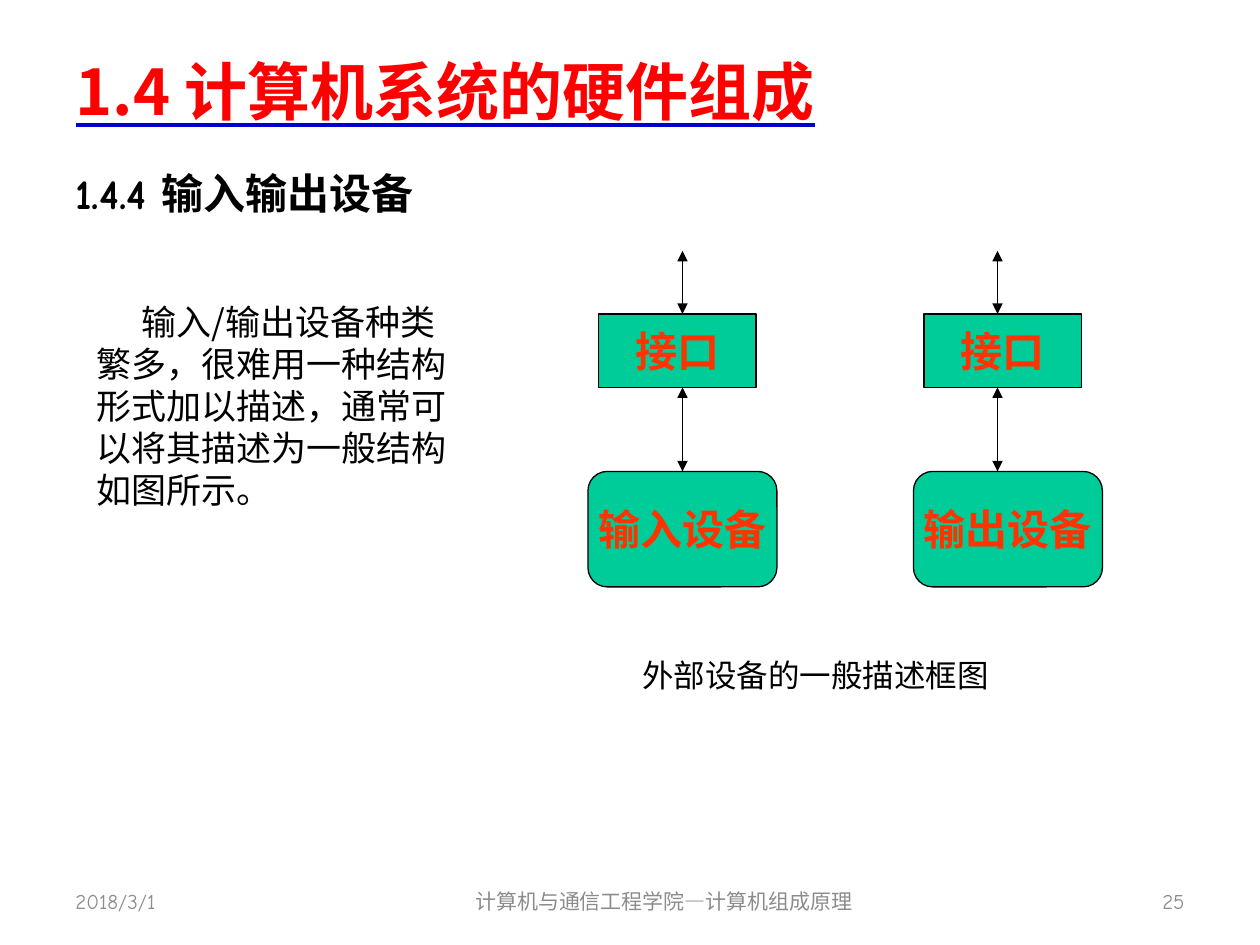
from lxml.etree import SubElement
from pptx import Presentation
from pptx.dml.color import RGBColor
from pptx.enum.shapes import MSO_CONNECTOR, MSO_SHAPE
from pptx.enum.text import MSO_ANCHOR, PP_ALIGN
from pptx.oxml import parse_xml
from pptx.oxml.ns import nsdecls, qn
from pptx.util import Inches, Pt

RED = RGBColor(0xFF, 0x00, 0x00)
ORANGE = RGBColor(0xFF, 0x33, 0x00)
GREEN = RGBColor(0x00, 0xCC, 0x99)
BLACK = RGBColor(0x00, 0x00, 0x00)
GRAY = RGBColor(0x8C, 0x8C, 0x8C)
SANS = "Noto Sans CJK SC"
COMIC = "Comic Neue"

deck = Presentation()
deck.slide_width, deck.slide_height = Inches(10), Inches(7.5)
slide = deck.slides.add_slide(deck.slide_layouts[5])
shapes = slide.shapes
col = deck.slide_width / 120
row = deck.slide_height / 90


def place(x, y, wide, high):
    return [round(n) for n in (x * col, y * row, wide * col, high * row)]


def write(shape, text, size, face, color, bold=False, align=PP_ALIGN.LEFT,
          anchor=MSO_ANCHOR.MIDDLE, wrap=True):
    frame = shape.text_frame
    frame.text = text
    frame.word_wrap = wrap
    frame.vertical_anchor = anchor
    para = frame.paragraphs[0]
    para.alignment = align
    font = para.runs[0].font
    font.size, font.name, font.bold = Pt(size), face, bold
    font.color.rgb = color
    SubElement(font._element, qn("a:ea"), typeface=SANS)
    return para


# Title with a blue underline
title = shapes.title
title.left, title.top, title.width, title.height = place(6, 3.5, 108, 10.2)
para = write(title, "1.4 计算机系统的硬件组成", 36, SANS, RED, bold=True)
font = para.runs[0].font
font.underline = True
font._element.find(qn("a:latin")).addprevious(parse_xml(
    f'<a:uFill {nsdecls("a")}><a:solidFill><a:srgbClr val="0000CC"/>'
    '</a:solidFill></a:uFill>'))

# Heading, paragraph and caption
head = shapes.add_textbox(*place(6, 14.8, 108, 67))
para = write(head, "1.4.4 输入输出设备", 24, COMIC, BLACK, bold=True,
             anchor=MSO_ANCHOR.TOP)
para.line_spacing = Pt(32)

body = shapes.add_textbox(*place(8, 28, 36, 21.4))
para = write(body, "输入/输出设备种类繁多，很难用一种结构形式加以描述，"
             "通常可以将其描述为一般结构如图所示。", 20, SANS, BLACK,
             anchor=MSO_ANCHOR.TOP)
para.line_spacing = Pt(24)
para._p.get_or_add_pPr().set("indent", str(Inches(0.36)))

note = shapes.add_textbox(*place(60, 61.9, 35.8, 4.8))
para = write(note, "外部设备的一般描述框图", 18, SANS, BLACK,
             anchor=MSO_ANCHOR.TOP, wrap=False)
para.line_spacing = Pt(21.6)

# Two device columns: interface box above, device box below
for left, mid, name in ((56, 65, "输入设备"), (87, 95, "输出设备")):
    for kind, text, spot in (
            (MSO_SHAPE.RECTANGLE, "接口", (left + 1, 29.9, 15, 7)),
            (MSO_SHAPE.ROUNDED_RECTANGLE, name, (left, 44.9, 18, 11))):
        box = shapes.add_shape(kind, *place(*spot))
        box.shadow.inherit = False
        box.fill.solid()
        box.fill.fore_color.rgb = GREEN
        box.line.color.rgb = BLACK
        box.line.width = Pt(0.75)
        write(box, text, 24, SANS, ORANGE, bold=True,
              align=PP_ALIGN.CENTER, wrap=False)

    # Double-headed arrows
    for top, end in ((23.9, 29.9), (36.9, 44.9)):
        x, y, _, high = place(mid, top, 0, end - top)
        link = shapes.add_connector(MSO_CONNECTOR.STRAIGHT, x, y, x, y + high)
        link.line.color.rgb = BLACK
        link.line.width = Pt(0.75)
        line = link.line._get_or_add_ln()
        for tag in ("a:headEnd", "a:tailEnd"):
            SubElement(line, qn(tag), type="triangle")
        SubElement(link._element.spPr, qn("a:effectLst"))

# Footer: date, course, page number
for x, wide, text, align in (
        (6, 28, "2018/3/1", PP_ALIGN.LEFT),
        (41, 44.5, "计算机与通信工程学院—计算机组成原理", PP_ALIGN.CENTER),
        (86, 28, "25", PP_ALIGN.RIGHT)):
    foot = shapes.add_textbox(*place(x, 83.4, wide, 4.8))
    write(foot, text, 12, COMIC, GRAY, align=align)

deck.save("out.pptx")
